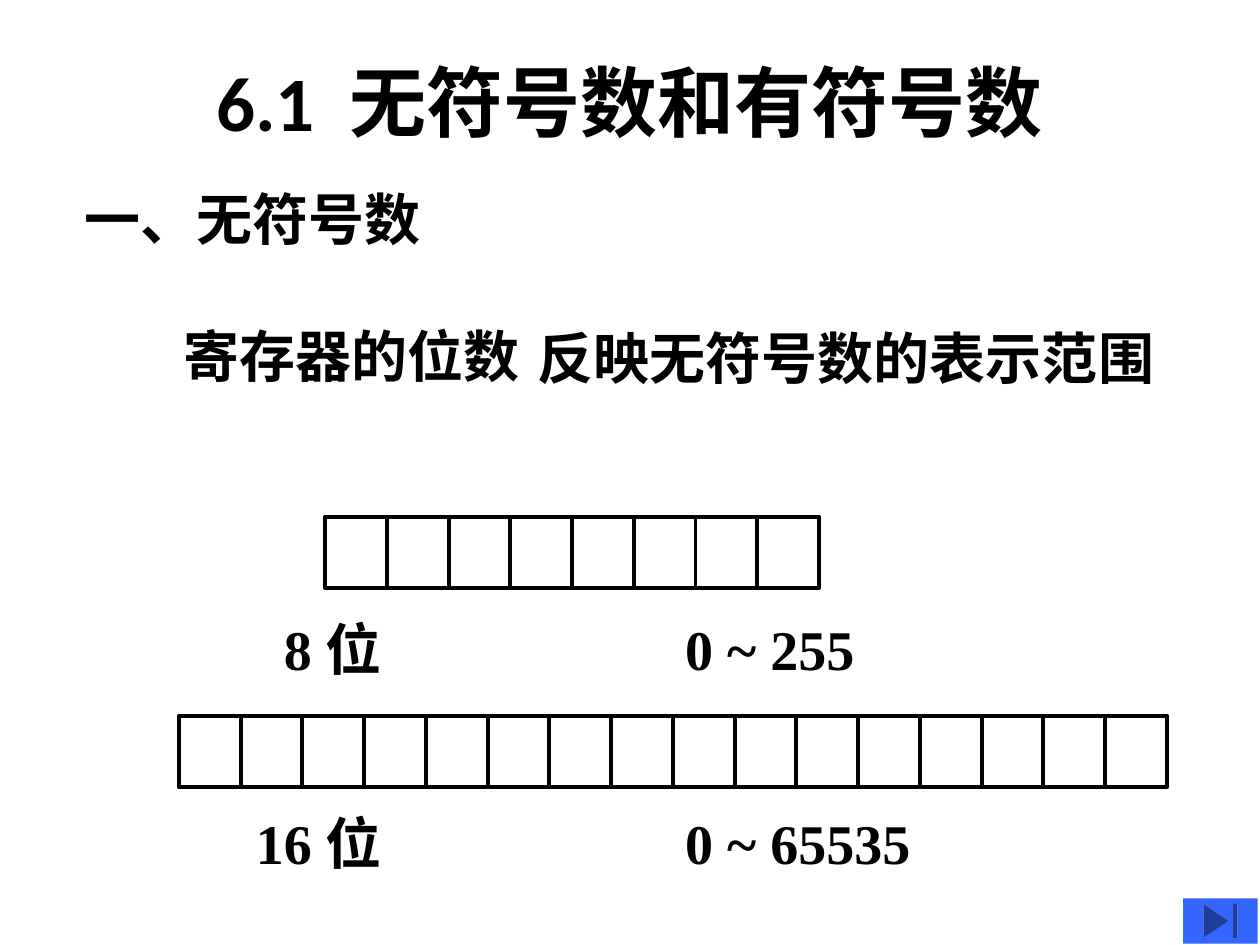
import pptx
import pptx.util
import pptx.dml.color
import pptx.enum.shapes
import pptx.enum.text

deck = pptx.Presentation()
deck.slide_width = pptx.util.Inches(10)
deck.slide_height = pptx.util.Inches(7.5)
slide = deck.slides.add_slide(deck.slide_layouts[6])

# Grid: 100 columns by 75 rows
col = deck.slide_width / 100
row = deck.slide_height / 75
hues = {"ink": "000000", "blue": "3366FF"}
kinds = pptx.enum.shapes.MSO_SHAPE
sides = pptx.enum.text.PP_ALIGN
tint = pptx.dml.color.RGBColor.from_string


def frame(x, y, w, h):
    return int(x * col), int(y * row), int(w * col), int(h * row)


def write(text, at, size=32, font="Times New Roman", align=sides.LEFT, wrap=True):
    box = slide.shapes.add_textbox(*frame(*at)).text_frame
    box.word_wrap = wrap
    box.vertical_anchor = pptx.enum.text.MSO_ANCHOR.MIDDLE
    par = box.paragraphs[0]
    par.alignment = align
    run = par.add_run()
    run.text = text
    run.font.size = pptx.util.Pt(size)
    run.font.name = font
    run.font.bold = True
    run.font.color.rgb = tint(hues["ink"])


# Title and statements
write("6.1  无符号数和有符号数", (7.5, 1.7, 85, 12.5),
      size=44, font="Calibri", align=sides.CENTER)
write("一、无符号数", (5.7, 14.2, 28.8, 6.3), wrap=False)
write("寄存器的位数", (13.6, 25, 37.7, 6.3))
write("反映无符号数的表示范围", (41.7, 25.2, 58.3, 6.3))

# Registers: bit cells, with width and range below
wide, tall = 4.9, 5.7
for bits, left, top, base in ((8, 25.8, 41, 48.3), (16, 14.2, 56.8, 63.7)):
    for bit in range(bits):
        cell = slide.shapes.add_shape(
            kinds.RECTANGLE, *frame(left + bit * wide, top, wide, tall))
        cell.shadow.inherit = False
        cell.fill.background()
        cell.line.color.rgb = tint(hues["ink"])
        cell.line.width = pptx.util.Pt(2.25)
    write(f"{bits} 位", (14.2, base, 17.1, 6.3), align=sides.RIGHT)
    write(f"0 ~ {2 ** bits - 1}", (53.4, base, 29, 6.3))

# Button to the last slide
end = slide.shapes.add_shape(kinds.ACTION_BUTTON_END, *frame(93.9, 71.3, 5.9, 3.6))
end.shadow.inherit = False
end.fill.solid()
end.fill.fore_color.rgb = tint(hues["blue"])
end.line.fill.background()

deck.save("out.pptx")
